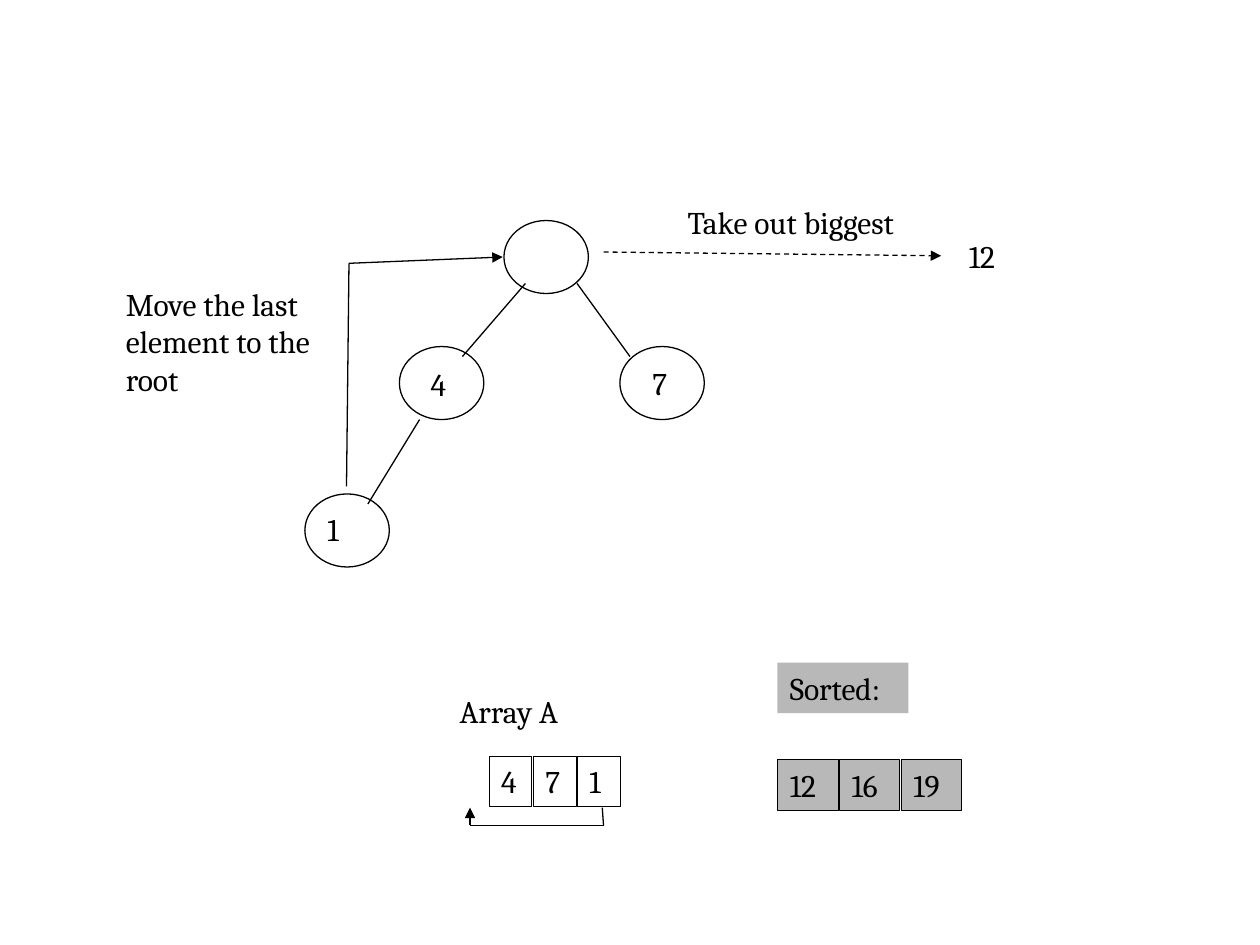
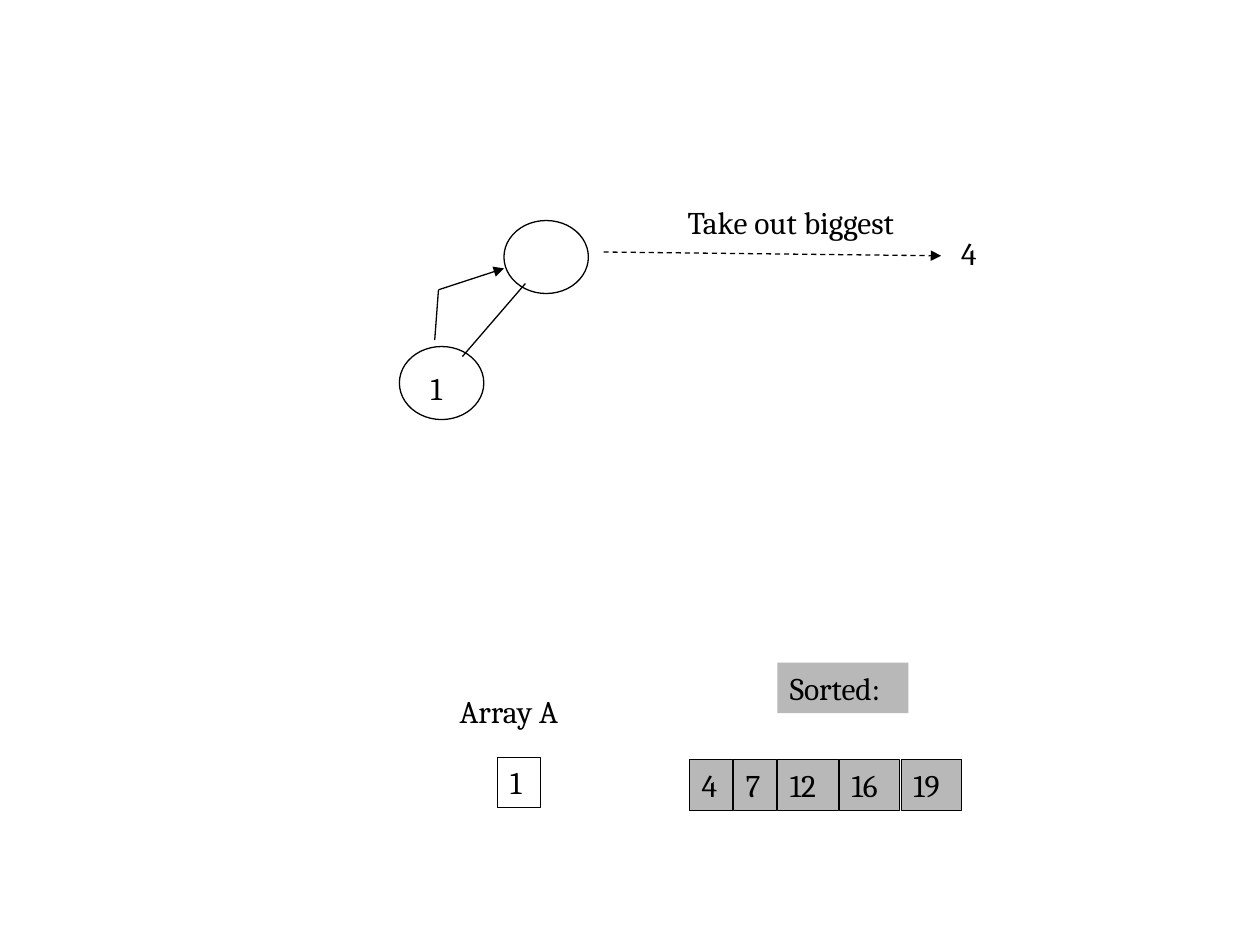
from dataclasses import dataclass

import pptx
import pptx.dml.color
import pptx.enum.dml
import pptx.enum.shapes
import pptx.enum.text
import pptx.oxml.ns
import pptx.util
from lxml import etree

Inches = pptx.util.Inches
Shapes = pptx.enum.shapes.MSO_SHAPE


@dataclass(frozen=True)
class Theme:
    ink: str = "000000"
    sorted_fill: str = "B8B8B8"
    font: str = "Cambria"
    text_size: float = 18
    edge_width: float = 0.75
    cell_width: float = 0.25


THEME = Theme()

# Tree node positions, shared by both slides
ROOT, LEFT, RIGHT, LAST = (4, 1.75), (3.17, 2.75), (4.92, 2.75), (2.42, 3.92)
NODE_SIZE = (0.67, 0.58)
ROOT_TO_LEFT = ((4.17, 2.25), (3.67, 2.83))
ROW_HEIGHT = 0.4
CELL_GAP = 0.01
SORTED_RIGHT = 7.63


def color(value):
    return pptx.dml.color.RGBColor.from_string(value)


def set_outline(line, width):
    line.color.rgb = color(THEME.ink)
    line.width = pptx.util.Pt(width)


def add_preset(page, kind, left, top, width, height, fill=None, outline=None):
    shape = page.shapes.add_shape(
        kind, Inches(left), Inches(top), Inches(width), Inches(height))
    shape.shadow.inherit = False
    if fill:
        shape.fill.solid()
        shape.fill.fore_color.rgb = color(fill)
    else:
        shape.fill.background()
    if outline:
        set_outline(shape.line, outline)
    else:
        shape.line.fill.background()
    return shape


def write_text(box, text, size=THEME.text_size, ink=THEME.ink):
    frame = box.text_frame
    frame.word_wrap = True
    frame.margin_right = 0
    frame.vertical_anchor = pptx.enum.text.MSO_ANCHOR.TOP
    frame.text = text
    for para in frame.paragraphs:
        para.alignment = pptx.enum.text.PP_ALIGN.LEFT
        para.font.name = THEME.font
        para.font.size = pptx.util.Pt(size)
        para.font.color.rgb = color(ink)


def add_label(page, text, left, top, width, height=ROW_HEIGHT):
    box = page.shapes.add_textbox(
        Inches(left), Inches(top), Inches(width), Inches(height))
    write_text(box, text)


def add_node(page, place):
    add_preset(page, Shapes.OVAL, *place, *NODE_SIZE, outline=THEME.edge_width)


def add_edge(page, start, end, arrow=False, dashed=False):
    edge = page.shapes.add_connector(
        pptx.enum.shapes.MSO_CONNECTOR.STRAIGHT,
        *(Inches(value) for value in (*start, *end)))
    set_outline(edge.line, THEME.edge_width)
    if dashed:
        edge.line.dash_style = pptx.enum.dml.MSO_LINE.DASH
    qn = pptx.oxml.ns.qn
    properties = edge._element.spPr
    if arrow:
        etree.SubElement(properties.find(qn("a:ln")), qn("a:tailEnd"),
                         type="triangle")
    etree.SubElement(properties, qn("a:effectLst"))


def add_arrow_path(page, points):
    """Join the points with lines and put an arrowhead on the last one."""
    last = len(points) - 2
    for index, (start, end) in enumerate(zip(points, points[1:])):
        add_edge(page, start, end, arrow=index == last)


def digit_width(value):
    return 0.34 if value < 10 else 0.48


def add_cells(page, values, left, top, fill=None):
    for value in values:
        width = digit_width(value)
        cell = add_preset(page, Shapes.RECTANGLE, left, top, width, ROW_HEIGHT,
                          fill=fill, outline=THEME.cell_width)
        write_text(cell, str(value))
        left += width + CELL_GAP


def add_sorted_cells(page, values):
    """The sorted row grows to the left from a fixed right edge."""
    total = sum(map(digit_width, values)) + CELL_GAP * (len(values) - 1)
    add_cells(page, values, SORTED_RIGHT - total, 6.03, THEME.sorted_fill)


def add_heap_page(deck, array, array_place, sorted_values):
    """Add a page with the parts that every heap step shows."""
    page = deck.slides.add_slide(deck.slide_layouts[6])
    add_node(page, ROOT)
    add_node(page, LEFT)
    add_edge(page, *ROOT_TO_LEFT)
    add_edge(page, (4.79, 2), (7.47, 2.03), arrow=True, dashed=True)
    add_label(page, "Take out biggest", 5.36, 1.56, 2.14)

    # Array and sorted rows
    add_label(page, "Array A", 3.55, 5.44, 1.14)
    add_cells(page, array, *array_place)
    heading = add_preset(page, Shapes.RECTANGLE, 6.17, 5.26, 1.04, ROW_HEIGHT,
                         fill=THEME.sorted_fill)
    write_text(heading, "Sorted:")
    add_sorted_cells(page, sorted_values)
    return page


def add_take_out_12(deck):
    page = add_heap_page(deck, [4, 7, 1], (3.88, 6), [12, 16, 19])
    add_label(page, "12", 7.59, 1.83, 0.48)

    # Rest of the tree
    add_node(page, RIGHT)
    add_node(page, LAST)
    add_edge(page, (3.33, 3.33), (2.92, 4))
    add_edge(page, (4.58, 2.25), (5, 2.83))
    for text, left, top in (("4", 3.32, 2.85), ("1", 2.5, 4), ("7", 5.08, 2.84)):
        add_label(page, text, left, top, 0.34)

    # Moving the last element to the front
    add_arrow_path(page, [(2.75, 3.86), (2.77, 2.09), (3.99, 2.04)])
    add_arrow_path(page, [(4.78, 6.41), (4.79, 6.55), (3.73, 6.55), (3.73, 6.41)])
    add_label(page, "Move the last\nelement to the\nroot", 0.9, 2.21, 1.95, 1.01)


def add_take_out_4(deck):
    page = add_heap_page(deck, [1], (3.95, 6.01), [4, 7, 12, 16, 19])
    add_label(page, "4", 7.53, 1.81, 0.34)
    add_label(page, "1", 3.32, 2.88, 0.34)
    add_arrow_path(page, [(3.45, 2.7), (3.48, 2.3), (4, 2.13)])


def main():
    deck = pptx.Presentation()
    deck.slide_width, deck.slide_height = Inches(10), Inches(7.5)
    add_take_out_12(deck)
    add_take_out_4(deck)
    deck.save("out.pptx")


if __name__ == "__main__":
    main()
